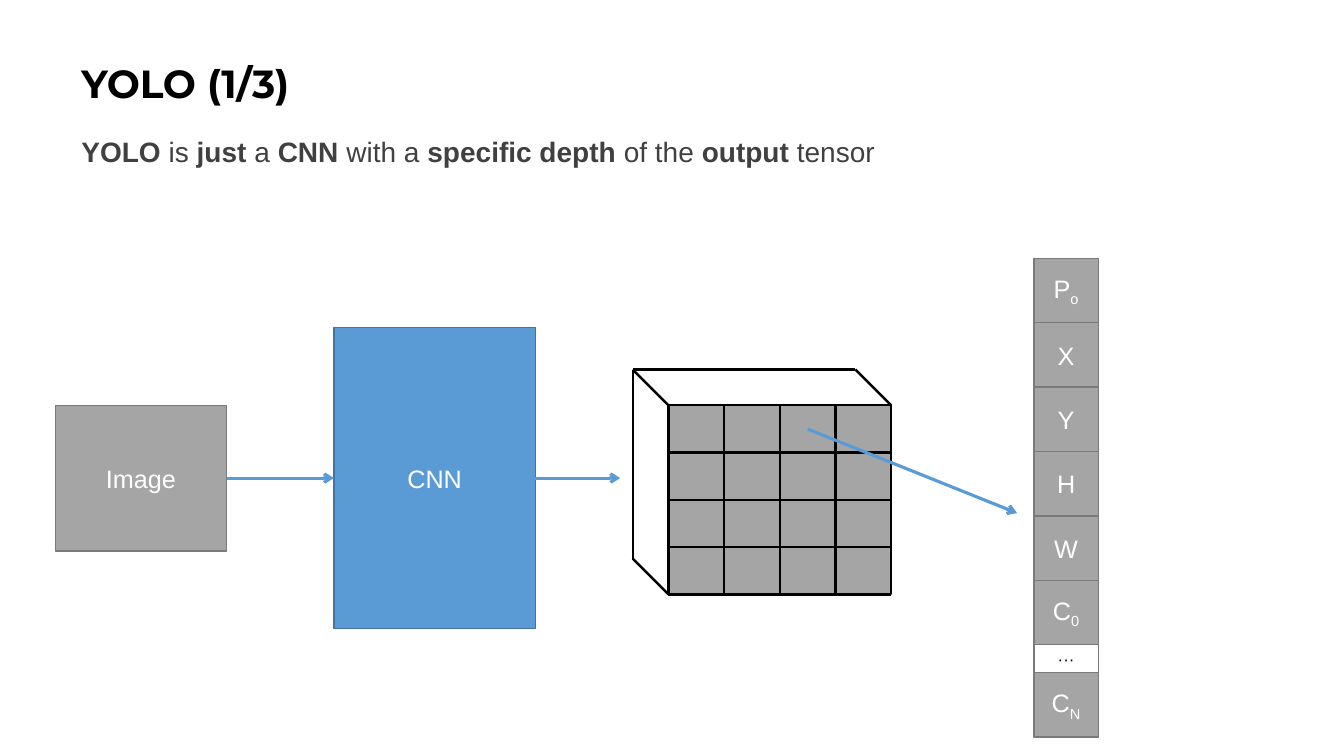
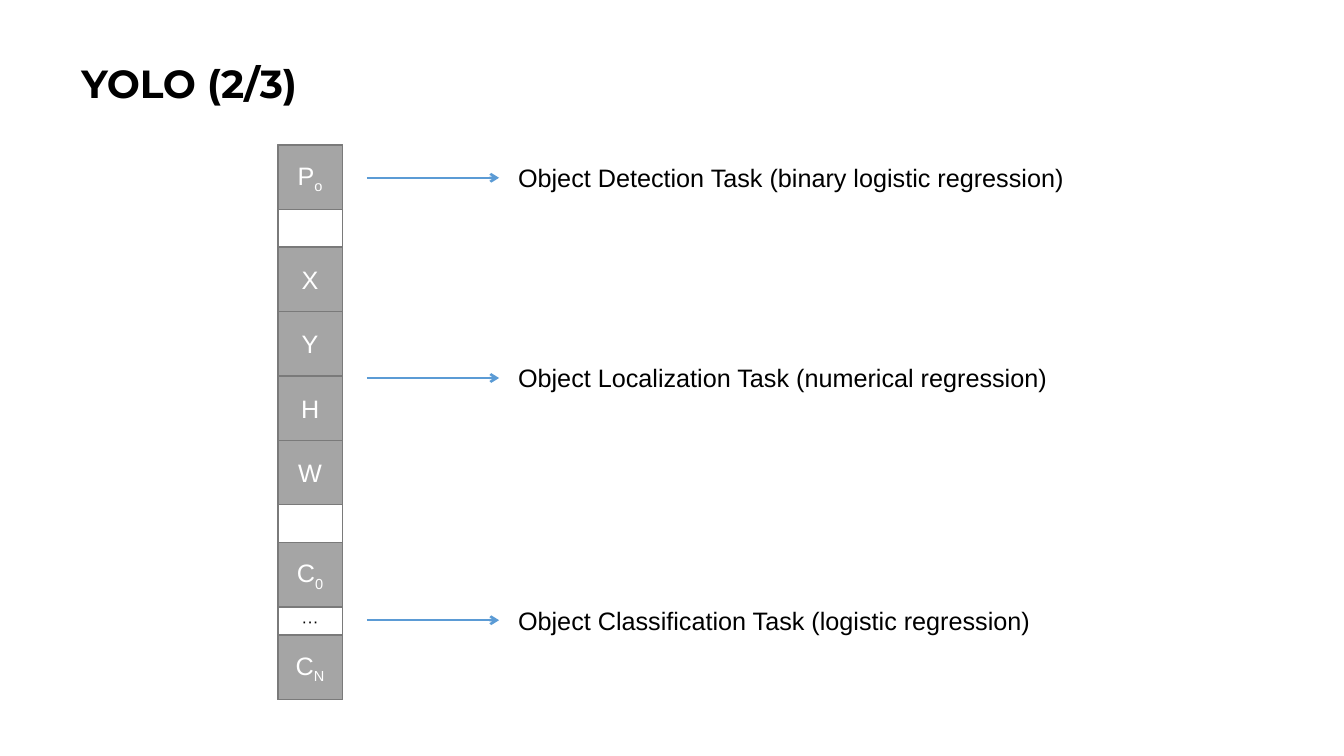
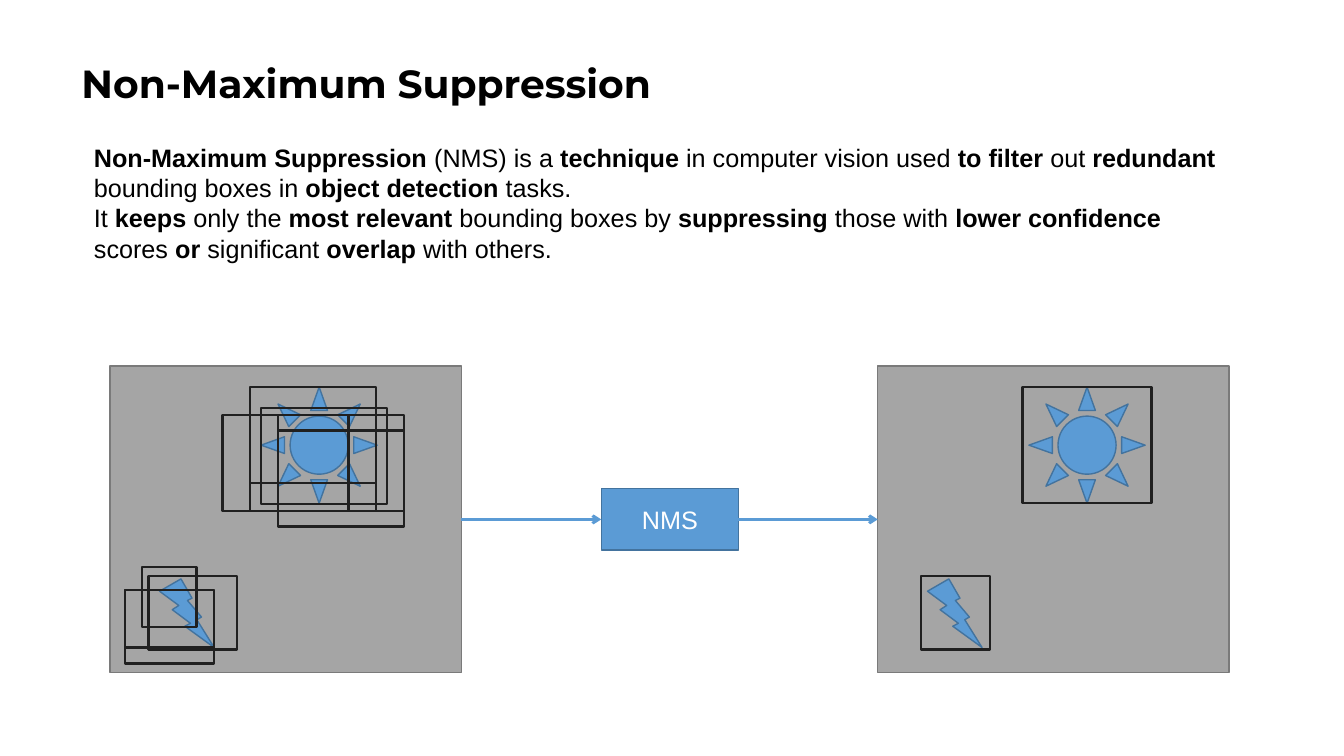
from dataclasses import dataclass

from lxml import etree
from pptx import Presentation
from pptx.dml.color import RGBColor
from pptx.enum.shapes import MSO_CONNECTOR, MSO_SHAPE
from pptx.enum.text import MSO_ANCHOR, MSO_AUTO_SIZE, PP_ALIGN
from pptx.oxml.ns import qn
from pptx.util import Pt

RECTANGLE = MSO_SHAPE.RECTANGLE
SUN = MSO_SHAPE.SUN
BOLT = MSO_SHAPE.LIGHTNING_BOLT
STRAIGHT = MSO_CONNECTOR.STRAIGHT
LEFT, CENTER = PP_ALIGN.LEFT, PP_ALIGN.CENTER
TOP, MIDDLE = MSO_ANCHOR.TOP, MSO_ANCHOR.MIDDLE
LEFT_SIDE, RIGHT_SIDE = 1, 3


@dataclass(frozen=True)
class Theme:
    black: str = "000000"
    white: str = "FFFFFF"
    muted: str = "404040"
    outline: str = "202020"
    gray: str = "A5A5A5"
    gray_edge: str = "7A7A7A"
    blue: str = "5B9BD5"
    blue_edge: str = "43739E"
    title_font: str = "Montserrat"
    body_font: str = "Arial"
    title_size: float = 28
    lead_size: float = 20
    body_size: float = 18
    dots_size: float = 12
    thin: float = 1
    medium: float = 1.75


THEME = Theme()
GRAY = (THEME.gray, THEME.gray_edge)
BLUE = (THEME.blue, THEME.blue_edge)

CELL = 46
DOTS = 20
TENSOR_GROUPS = [["P_o"], ["X", "Y", "H", "W"], ["C_0", "···", "C_N"]]

TASKS = [
    (127, "Object Detection Task (binary logistic regression)"),
    (270, "Object Localization Task (numerical regression)"),
    (443, "Object Classification Task (logistic regression)"),
]

NMS_TEXT = [
    "**Non-Maximum Suppression** (NMS) is a **technique **in computer vision used "
    "**to filter **out **redundant **bounding boxes in **object detection **tasks.",
    "It **keeps **only the **most relevant **bounding boxes by **suppressing **those with "
    "**lower confidence **scores **or** significant **overlap **with others.",
]

SUN_CORNERS = [(108, 30), (120, 46), (100, 15), (100, 35), (120, 35), (80.5, 35)]
CANDIDATES = [(x, y, 90, 68.5) for x, y in SUN_CORNERS] + [
    (23, 143.5, 39, 43),
    (27.5, 150, 63.5, 52.5),
    (11, 160, 63.5, 41),
    (11, 160, 63.5, 52.5),
]
SURVIVORS = [(103.5, 15, 92, 83), (31, 150, 49, 52.5)]


def points(*values):
    return [Pt(value) for value in values]


def style_font(font, size, color, name=THEME.body_font, bold=False):
    font.name, font.size, font.bold = name, Pt(size), bold
    font.color.rgb = RGBColor.from_string(color)


def add_title(deck, text):
    page = deck.slides.add_slide(deck.slide_layouts[5])
    title = page.shapes.title
    title.left, title.top, title.width, title.height = points(51, 24, 828, 75)
    frame = title.text_frame
    frame.text = text
    frame.auto_size = MSO_AUTO_SIZE.NONE
    frame.vertical_anchor = MIDDLE
    para = frame.paragraphs[0]
    para.alignment, para.line_spacing = LEFT, 0.9
    style_font(para.runs[0].font, THEME.title_size, THEME.black, THEME.title_font, True)
    return page


def add_text(page, area, paragraphs, size=THEME.body_size, color=THEME.black,
             align=LEFT, spacing=1):
    box = page.shapes.add_textbox(*points(*area))
    frame = box.text_frame
    frame.word_wrap = True
    frame.vertical_anchor = TOP
    for index, text in enumerate(paragraphs):
        para = frame.add_paragraph() if index else frame.paragraphs[0]
        para.alignment, para.line_spacing = align, spacing
        for part, words in enumerate(text.split("**")):
            if words:
                span = para.add_run()
                span.text = words
                style_font(span.font, size, color, bold=part % 2 == 1)


def add_figure(shapes, area, fill=None, edge=THEME.gray_edge, width=THEME.thin, kind=RECTANGLE):
    figure = shapes.add_shape(kind, *points(*area))
    figure.shadow.inherit = False
    if fill:
        figure.fill.solid()
        figure.fill.fore_color.rgb = RGBColor.from_string(fill)
    else:
        figure.fill.background()
    figure.line.color.rgb = RGBColor.from_string(edge)
    figure.line.width = Pt(width)
    return figure


def add_block(page, area, label, colors=GRAY):
    block = add_figure(page.shapes, area, *colors)
    block.text_frame.vertical_anchor = MIDDLE
    para = block.text_frame.paragraphs[0]
    para.alignment = CENTER
    for index, words in enumerate(label.split("_")):
        span = para.add_run()
        span.text = words
        style_font(span.font, THEME.body_size, THEME.white)
        if index:
            span._r.get_or_add_rPr().set("baseline", "-25000")
    return block


def add_line(shapes, start, end, color=THEME.black, width=THEME.medium):
    line = shapes.add_connector(STRAIGHT, *points(*start, *end))
    line.line.color.rgb = RGBColor.from_string(color)
    line.line.width = Pt(width)
    etree.SubElement(line._element.spPr, qn("a:effectLst"))
    return line


def add_arrow(page, start, end, width, source=None, target=None):
    arrow = add_line(page.shapes, start, end, THEME.blue, width)
    etree.SubElement(arrow.line._get_or_add_ln(), qn("a:tailEnd")).set("type", "arrow")
    if source:
        arrow.begin_connect(source, RIGHT_SIDE)
    if target:
        arrow.end_connect(target, LEFT_SIDE)


def add_tensor_column(page, left, top, gap=0):
    height = 7 * CELL + DOTS + 2 * gap
    add_figure(page.shapes, (left, top, CELL, height))
    for group in TENSOR_GROUPS:
        for label in group:
            if label == "···":
                add_text(page, (left, top - 1, CELL, DOTS + 2), [label],
                         THEME.dots_size, align=CENTER)
                top += DOTS
            else:
                add_block(page, (left, top, CELL, CELL), label)
                top += CELL
        top += gap


def add_output_tensor(page, left, top, width, height, depth, count=4):
    shapes = page.shapes.add_group_shape().shapes
    right, bottom = left + width, top + height
    add_figure(shapes, (left, top, width, height), *GRAY)
    for step in range(count + 1):
        x = left + width * step / count
        y = top + height * step / count
        add_line(shapes, (x, top), (x, bottom))
        add_line(shapes, (left, y), (right, y))
    back_corners = []
    for x, y in [(left, bottom), (left, top), (right, top)]:
        corner = (x - depth, y - depth)
        add_line(shapes, (x, y), corner)
        back_corners.append(corner)
    for start, end in zip(back_corners, back_corners[1:]):
        add_line(shapes, start, end)


def add_scene(page, left, top, boxes):
    panel = add_figure(page.shapes, (left, top, 251, 219), *GRAY)
    add_figure(page.shapes, (left + 108, top + 15, 83, 83), *BLUE, kind=SUN)
    add_figure(page.shapes, (left + 35.5, top + 152, 39, 49), *BLUE, kind=BOLT)
    for x, y, width, height in boxes:
        add_figure(page.shapes, (left + x, top + y, width, height),
                   edge=THEME.outline, width=THEME.medium)
    return panel


def build_network(deck):
    page = add_title(deck, "YOLO (1/3)")
    lead = ("**YOLO **is **just **a **CNN **with a **specific depth **of the "
            "**output **tensor")
    add_text(page, (51, 95, 891, 67), [lead], THEME.lead_size, THEME.muted, spacing=0.9)
    image = add_block(page, (39.5, 289.5, 122.5, 104), "Image")
    network = add_block(page, (238.5, 234, 144, 215), "CNN", BLUE)
    add_output_tensor(page, 477.5, 289.5, 159, 135, 25.5)
    add_tensor_column(page, 738.5, 184.5)
    add_arrow(page, (577, 306.5), (726.5, 366.5), 2.25)
    add_arrow(page, (162, 341.5), (238.5, 341.5), 2.25, image, network)
    add_arrow(page, (382.5, 341.5), (443, 341.5), 2.25, network)


def build_tasks(deck):
    page = add_title(deck, "YOLO (2/3)")
    add_tensor_column(page, 198.5, 103.5, 27)
    for middle, task in TASKS:
        add_arrow(page, (262, middle), (356.5, middle), THEME.medium)
        add_text(page, (363, middle - 14.5, 484, 29), [task])


def build_suppression(deck):
    page = add_title(deck, "Non-Maximum Suppression")
    add_text(page, (60, 98, 819, 94.5), NMS_TEXT)
    before = add_scene(page, 78.5, 261.5, CANDIDATES)
    after = add_scene(page, 627, 261.5, SURVIVORS)
    filter_block = add_block(page, (429.5, 349, 98, 44), "NMS", BLUE)
    add_arrow(page, (329.5, 371), (429.5, 371), 2, before, filter_block)
    add_arrow(page, (527.5, 371), (627, 371), 2, filter_block, after)


def main():
    deck = Presentation()
    deck.slide_width, deck.slide_height = points(960, 540)
    build_network(deck)
    build_tasks(deck)
    build_suppression(deck)
    deck.save("out.pptx")


if __name__ == "__main__":
    main()
